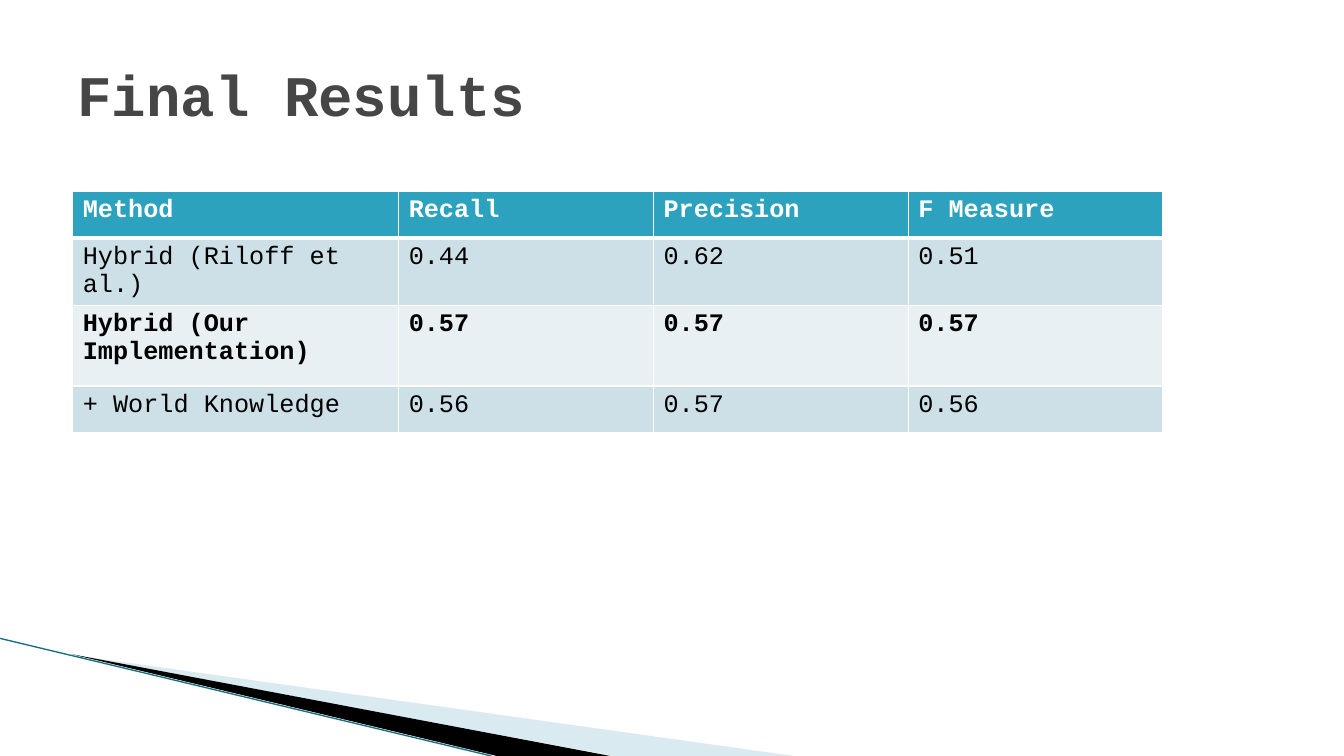
from dataclasses import dataclass

from lxml import etree
from pptx import Presentation
from pptx import util as u
from pptx.dml.color import RGBColor
from pptx.enum import shapes, text
from pptx.oxml import ns

FONT = "Courier New"


@dataclass
class Wedge:
    points: list[tuple[float, float]]
    color: str
    opacity: int = 100


@dataclass
class Row:
    cells: tuple[str, ...]
    height: float
    fill: str
    color: str = "000000"
    bold: bool = False
    top_border: float = 1
    bottom_border: float = 1


WEDGES = [
    Wedge([(52.5, 468), (567, 540), (438, 540)], "A0CBDC", 40),
    Wedge([(51.2, 467.3), (436, 540), (355, 540)], "000000"),
]
COLUMN_WIDTHS = [232.8, 182, 182, 182]
ROWS = [
    Row(("Method", "Recall", "Precision", "F Measure"), 33.1, "2DA2BF", "FFFFFF",
        bold=True, bottom_border=3),
    Row(("Hybrid (Riloff et al.)", "0.44", "0.62", "0.51"), 48, "CDE0E8", top_border=3),
    Row(("Hybrid (Our Implementation)", "0.57", "0.57", "0.57"), 57.6, "E8F0F4", bold=True),
    Row(("+ World Knowledge", "0.56", "0.57", "0.56"), 33.1, "CDE0E8"),
]


def rgb(value: str) -> RGBColor:
    return RGBColor.from_string(value)


def set_font(p, size: float, color: str, bold: bool) -> None:
    p.font.name = FONT
    p.font.size = u.Pt(size)
    p.font.bold = bold
    p.font.color.rgb = rgb(color)


def add_wedge(slide, wedge: Wedge) -> None:
    (x, y), *rest = [(u.Pt(x), u.Pt(y)) for x, y in wedge.points]
    builder = slide.shapes.build_freeform(x, y)
    builder.add_line_segments(rest, close=True)
    sp = builder.convert_to_shape()
    sp.shadow.inherit = False
    sp.line.fill.background()
    sp.fill.solid()
    sp.fill.fore_color.rgb = rgb(wedge.color)
    if wedge.opacity < 100:
        color = sp.fill._xPr.find(".//" + ns.qn("a:srgbClr"))
        etree.SubElement(color, ns.qn("a:alpha"), val=str(wedge.opacity * 1000))


def add_edge(slide) -> None:
    line = slide.shapes.add_connector(
        shapes.MSO_CONNECTOR.STRAIGHT, u.Pt(0), u.Pt(456), u.Pt(351), u.Pt(540))
    line.line.color.rgb = rgb("16707F")
    line.line.width = u.Pt(0.95)
    etree.SubElement(line._element.spPr, ns.qn("a:effectLst"))


def add_title(slide) -> None:
    sp = slide.shapes.title
    sp.left, sp.top, sp.width, sp.height = u.Pt(48.2), u.Pt(21.6), u.Pt(864), u.Pt(90)
    tf = sp.text_frame
    tf.text = "Final Results"
    tf.vertical_anchor = text.MSO_ANCHOR.MIDDLE
    p = tf.paragraphs[0]
    p.alignment = text.PP_ALIGN.LEFT
    set_font(p, 41, "464646", True)


def set_borders(cell, row: Row) -> None:
    props = cell._tc.get_or_add_tcPr()
    widths = {"lnL": 1, "lnR": 1, "lnT": row.top_border, "lnB": row.bottom_border}
    for side, width in widths.items():
        border = etree.SubElement(props, ns.qn("a:" + side), w=str(u.Pt(width)))
        fill = etree.SubElement(border, ns.qn("a:solidFill"))
        etree.SubElement(fill, ns.qn("a:srgbClr"), val="FFFFFF")


def add_results(slide) -> None:
    table = slide.shapes.add_table(
        len(ROWS), len(COLUMN_WIDTHS), u.Pt(52), u.Pt(137), u.Pt(sum(COLUMN_WIDTHS)),
        u.Pt(sum(row.height for row in ROWS))).table
    for column, width in zip(table.columns, COLUMN_WIDTHS):
        column.width = u.Pt(width)
    for i, row in enumerate(ROWS):
        table.rows[i].height = u.Pt(row.height)
        for cell, value in zip(table.rows[i].cells, row.cells):
            set_borders(cell, row)
            cell.fill.solid()
            cell.fill.fore_color.rgb = rgb(row.fill)
            cell.text = value
            set_font(cell.text_frame.paragraphs[0], 18, row.color, row.bold)


def main() -> None:
    prs = Presentation()
    prs.slide_width, prs.slide_height = u.Pt(960), u.Pt(540)
    slide = prs.slides.add_slide(prs.slide_layouts[5])
    for wedge in WEDGES:
        add_wedge(slide, wedge)
    add_edge(slide)
    add_title(slide)
    add_results(slide)
    prs.save("out.pptx")


if __name__ == "__main__":
    main()
